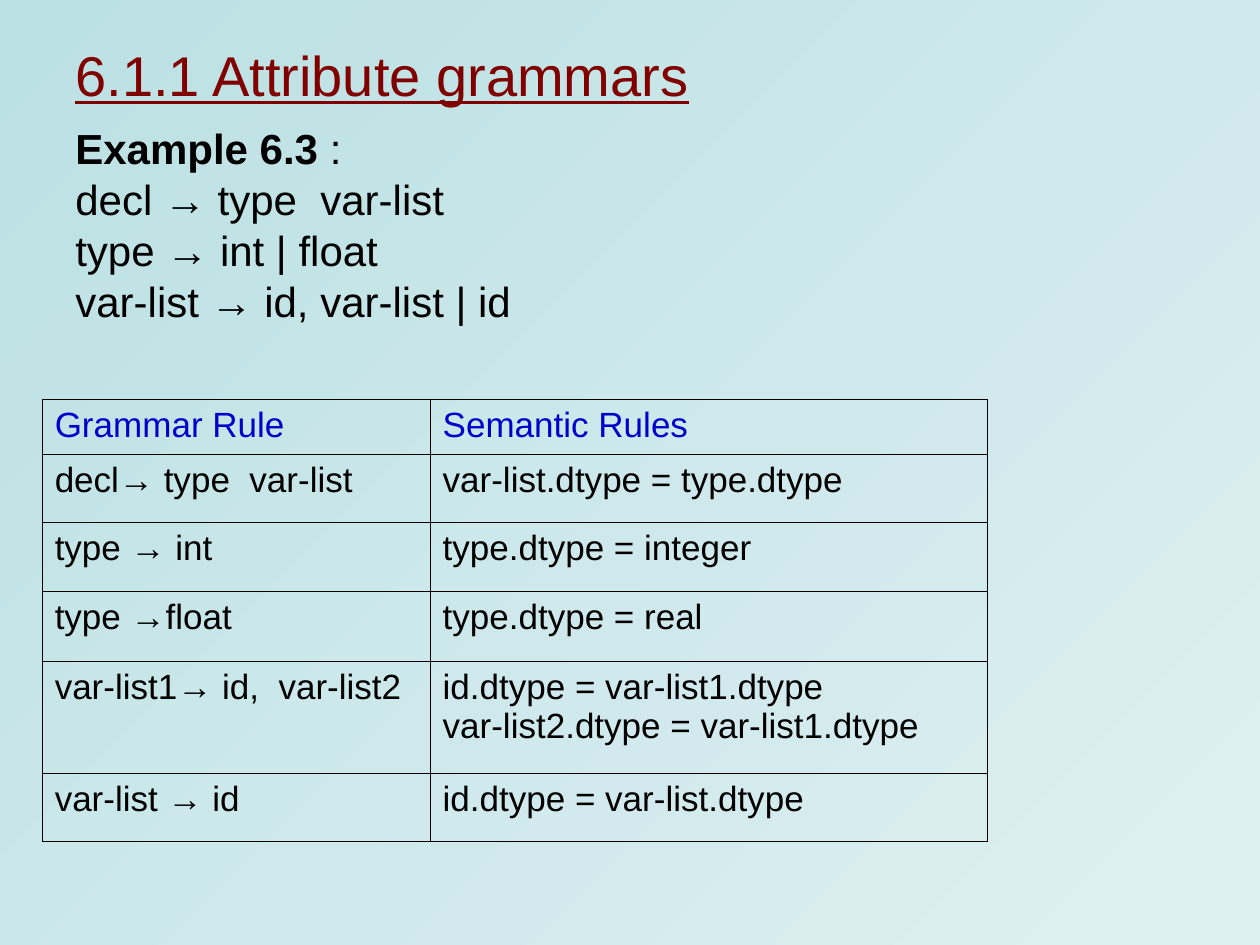
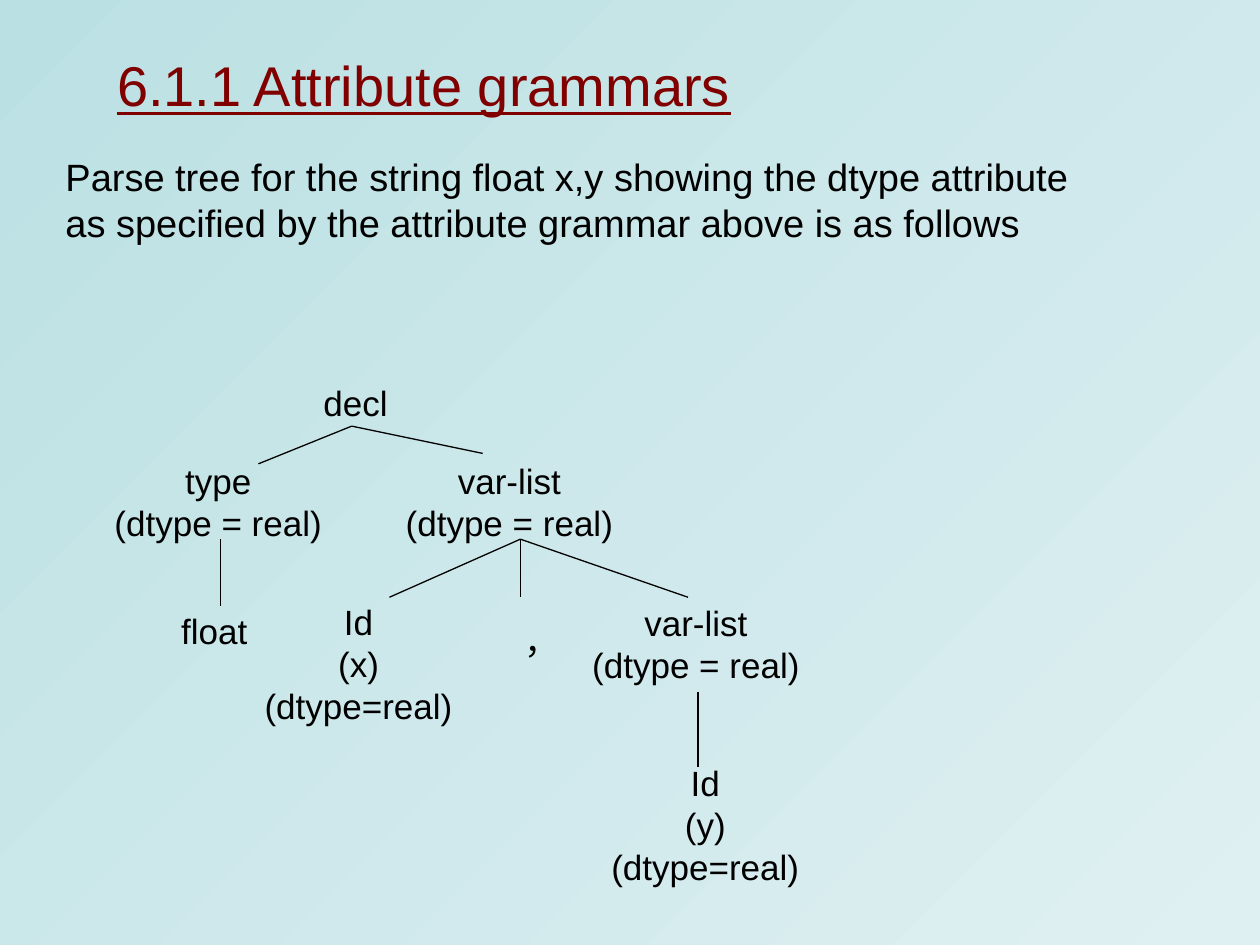
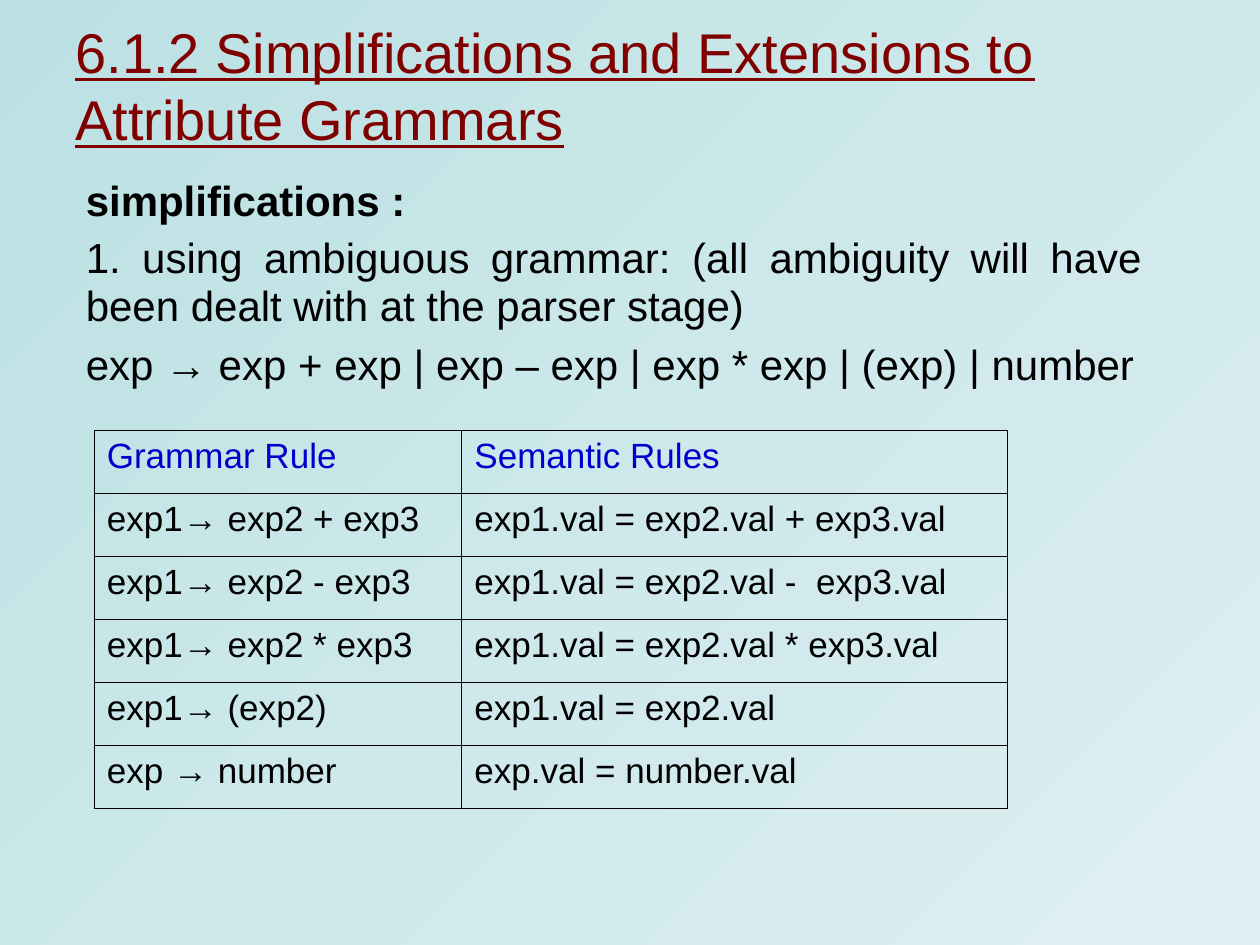
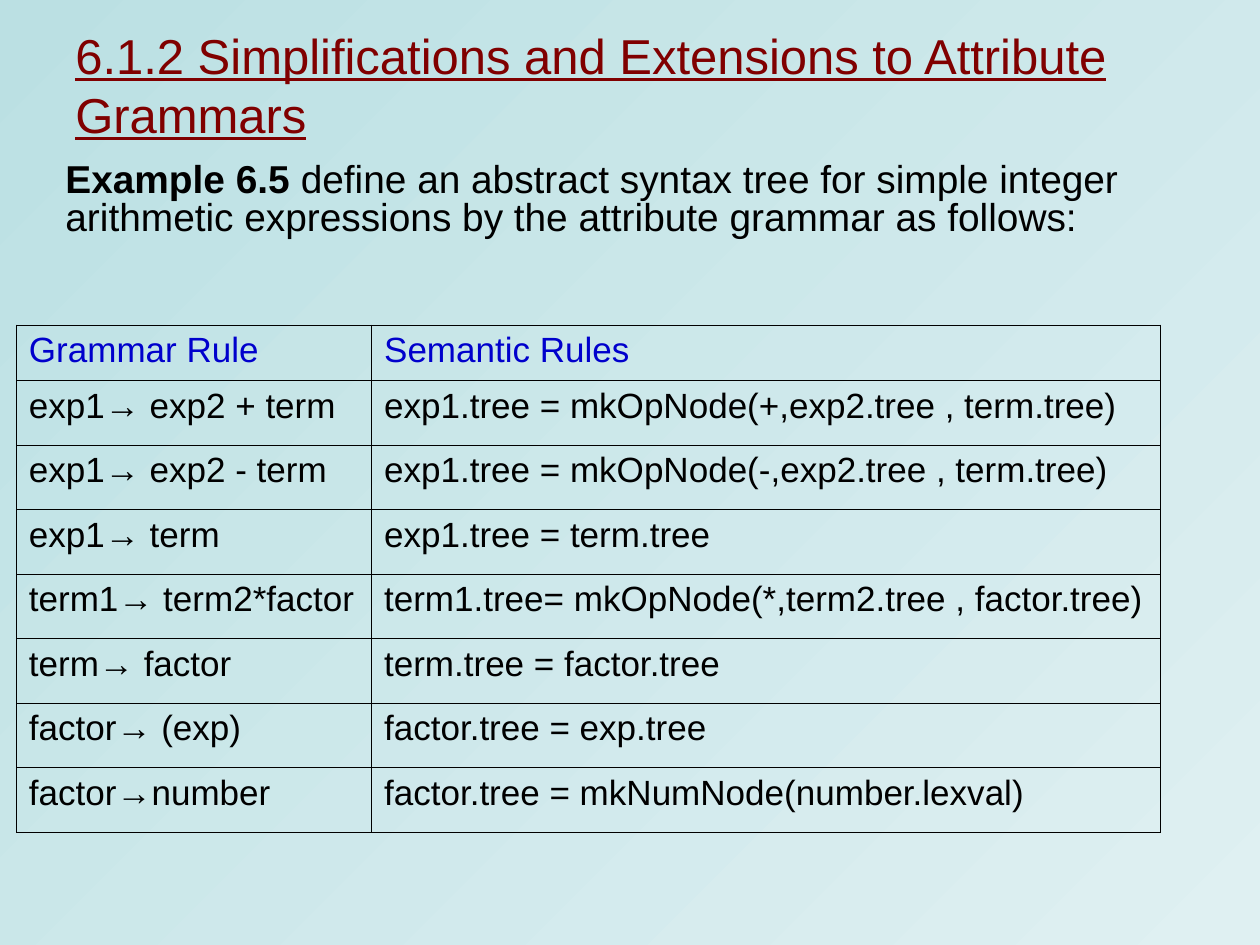
from lxml import etree
from pptx import Presentation
from pptx.dml.color import RGBColor
from pptx.enum import shapes, text
from pptx.oxml import ns
from pptx.util import Cm, Pt

# Shared look
COLORS = {
    "bg_start": "BBE0E3",
    "bg_end": "DFF0F2",
    "title": "800000",
    "header": "0000CC",
    "ink": "000000",
}
FONT = "Arial"
LEFT, CENTER, JUSTIFY = text.PP_ALIGN.LEFT, text.PP_ALIGN.CENTER, text.PP_ALIGN.JUSTIFY
TOP, MIDDLE = text.MSO_ANCHOR.TOP, text.MSO_ANCHOR.MIDDLE


def fill_text(tf, paras, size, color="ink", underline=None):
    """Each paragraph is (runs, align, line spacing, points before); a run is (text, bold)."""
    for i, (runs, align, spacing, before) in enumerate(paras):
        p = tf.paragraphs[0] if i == 0 else tf.add_paragraph()
        p.alignment = align
        p.line_spacing = spacing
        p.space_before = Pt(before)
        for words, bold in runs:
            r = p.add_run()
            r.text = words
            r.font.name = FONT
            r.font.size = Pt(size)
            r.font.bold = bold
            r.font.underline = underline
            r.font.color.rgb = RGBColor.from_string(COLORS[color])


def add_text(parent, box, paras, size, color="ink", underline=None, anchor=TOP, wrap=True):
    sp = parent.add_textbox(*[Cm(v) for v in box])
    tf = sp.text_frame
    tf.word_wrap = wrap
    tf.vertical_anchor = anchor
    fill_text(tf, paras, size, color, underline)


prs = Presentation()
prs.slide_width, prs.slide_height = Cm(25.4), Cm(19.05)

# Background gradient, top left to bottom right
bg = prs.slide_master.background.fill
bg.gradient()
bg.gradient_angle = 315
for stop, name in zip(bg.gradient_stops, ("bg_start", "bg_end")):
    stop.color.rgb = RGBColor.from_string(COLORS[name])

# Slide contents
ATTRIBUTE = "6.1.1 Attribute grammars"
SIMPLIFY = "6.1.2 Simplifications and Extensions to Attribute Grammars"

pages = [
    {
        "title": (ATTRIBUTE, (1.27, 0.43, 23.7, 2.11), 32),
        "box": (1.27, 2.34, 19.89, 4.45),
        "size": 24,
        "body": [
            ([("Example 6.3", True), (" :", False)], LEFT, 1.0, 6),
            ([("decl → type  var-list", False)], JUSTIFY, 0.8, 6),
            ([("type → int | float", False)], JUSTIFY, 0.8, 6),
            ([("var-list → id, var-list | id", False)], LEFT, 0.8, 6),
        ],
        "table": {
            "at": (0.85, 8.05),
            "cols": (7.82, 11.23),
            "heights": (1.11, 1.37, 1.4, 1.4, 2.26, 1.37),
            "rules": [
                ("decl→ type  var-list", "var-list.dtype = type.dtype"),
                ("type → int", "type.dtype = integer"),
                ("type →float", "type.dtype = real"),
                ("var-list1→ id,  var-list2",
                 "id.dtype = var-list1.dtype\nvar-list2.dtype = var-list1.dtype"),
                ("var-list → id", "id.dtype = var-list.dtype"),
            ],
        },
    },
    {
        "title": (ATTRIBUTE, (2.11, 1.07, 21.59, 1.27), 32),
        "box": (1.07, 2.97, 21.59, 3.18),
        "size": 21.7,
        "body": [
            ([("Parse tree for the string float x,y showing the dtype attribute "
               "as specified by the attribute grammar above is as follows", False)], LEFT, 1.0, 7),
        ],
        # Nodes are (centre, top, lines); branches are (start, ends)
        "tree": {
            "nodes": [
                (7.17, 7.62, ["decl"]),
                (4.4, 9.35, ["type", "(dtype = real)"]),
                (10.27, 9.35, ["var-list", "(dtype = real)"]),
                (4.32, 12.22, ["float"]),
                (7.23, 12.22, ["Id", "(x)", "(dtype=real)"]),
                (10.93, 12.42, ["，"]),
                (14.03, 12.22, ["var-list", "(dtype = real)"]),
                (14.22, 15.47, ["Id", "(y)", "(dtype=real)"]),
            ],
            "branches": [
                ((7.09, 8.59), [(5.21, 9.35), (9.73, 9.14)]),
                ((4.45, 10.87), [(4.45, 12.22)]),
                ((10.49, 10.87), [(7.85, 12.04), (10.49, 12.04), (13.87, 12.04)]),
                ((14.07, 13.94), [(14.07, 15.47)]),
            ],
        },
    },
    {
        "title": (SIMPLIFY, (1.27, 0.43, 23.7, 2.54), 32),
        "box": (1.48, 3.6, 21.79, 4.88),
        "size": 24,
        "body": [
            ([("simplifications :", True)], LEFT, 0.8, 6),
            ([("1. using ambiguous grammar: (all ambiguity will have been dealt with "
               "at the parser stage)", False)], JUSTIFY, 0.95, 6),
            ([("exp → exp + exp | exp – exp | exp * exp | (exp) | number", False)], LEFT, 0.95, 6),
        ],
        "table": {
            "at": (1.9, 8.68),
            "cols": (7.41, 11),
            "heights": [1.27] * 6,
            "rules": [
                ("exp1→ exp2 + exp3", "exp1.val = exp2.val + exp3.val"),
                ("exp1→ exp2 - exp3", "exp1.val = exp2.val -  exp3.val"),
                ("exp1→ exp2 * exp3", "exp1.val = exp2.val * exp3.val"),
                ("exp1→ (exp2)", "exp1.val = exp2.val"),
                ("exp → number", "exp.val = number.val"),
            ],
        },
    },
    {
        "title": (SIMPLIFY, (1.27, 0.43, 23.7, 2.54), 28),
        "box": (1.07, 3.18, 22.43, 2.34),
        "size": 22.2,
        "body": [
            ([("Example 6.5 ", True),
              ("define an abstract syntax tree for simple integer arithmetic expressions "
               "by the attribute grammar as follows:", False)], LEFT, 0.8, 6),
        ],
        "table": {
            "at": (0.33, 6.55),
            "cols": (7.16, 15.91),
            "heights": [1.12] + [1.3] * 7,
            "rules": [
                ("exp1→ exp2 + term", "exp1.tree = mkOpNode(+,exp2.tree , term.tree)"),
                ("exp1→ exp2 - term", "exp1.tree = mkOpNode(-,exp2.tree , term.tree)"),
                ("exp1→ term", "exp1.tree = term.tree"),
                ("term1→ term2*factor", "term1.tree= mkOpNode(*,term2.tree , factor.tree)"),
                ("term→ factor", "term.tree = factor.tree"),
                ("factor→ (exp)", "factor.tree = exp.tree"),
                ("factor→number", "factor.tree = mkNumNode(number.lexval)"),
            ],
        },
    },
]

# Node size by number of text lines, wide enough for the longest line
NODE_SIZES = {1: (2.39, 0.97), 2: (4.9, 1.52), 3: (4.5, 2.31)}

for page in pages:
    slide = prs.slides.add_slide(prs.slide_layouts[6])

    # Title and body text
    title, box, size = page["title"]
    add_text(slide.shapes, box, [([(title, False)], LEFT, 1.0, 0)], size,
             "title", underline=True, anchor=MIDDLE)
    add_text(slide.shapes, page["box"], page["body"], page["size"])

    # Grammar table
    if "table" in page:
        grid = page["table"]
        rows = [("Grammar Rule", "Semantic Rules")] + grid["rules"]
        cols, heights = grid["cols"], grid["heights"]
        frame = slide.shapes.add_table(len(rows), len(cols), *[
            Cm(v) for v in (*grid["at"], sum(cols), sum(heights))])
        table = frame.table
        table.first_row = table.horz_banding = False
        for col, width in zip(table.columns, cols):
            col.width = Cm(width)
        for row, height in zip(table.rows, heights):
            row.height = Cm(height)
        for i, row in enumerate(rows):
            for j, words in enumerate(row):
                cell = table.cell(i, j)
                paras = [([(line, False)], LEFT, 1.0, 0) for line in words.split("\n")]
                fill_text(cell.text_frame, paras, 20, "ink" if i else "header")
                tc_pr = cell._tc.get_or_add_tcPr()
                for side in "LRTB":
                    ln = etree.SubElement(tc_pr, ns.qn(f"a:ln{side}"), w=str(Pt(0.45)))
                    solid = etree.SubElement(ln, ns.qn("a:solidFill"))
                    etree.SubElement(solid, ns.qn("a:srgbClr"), val=COLORS["ink"])
                cell.fill.background()

    # Parse tree
    if "tree" in page:
        tree = slide.shapes.add_group_shape()
        for start, ends in page["tree"]["branches"]:
            for end in ends:
                branch = tree.shapes.add_connector(
                    shapes.MSO_CONNECTOR.STRAIGHT, *[Cm(v) for v in start + end])
                branch.line.color.rgb = RGBColor.from_string(COLORS["ink"])
                branch.line.width = Pt(0.75)
                etree.SubElement(branch._element.spPr, ns.qn("a:effectLst"))
        for center, top, lines in page["tree"]["nodes"]:
            width, height = NODE_SIZES[len(lines)]
            paras = [([(line, False)], CENTER, 1.0, 0) for line in lines]
            add_text(tree.shapes, (center - width / 2, top, width, height), paras, 20,
                     anchor=MIDDLE, wrap=False)

prs.save("out.pptx")
